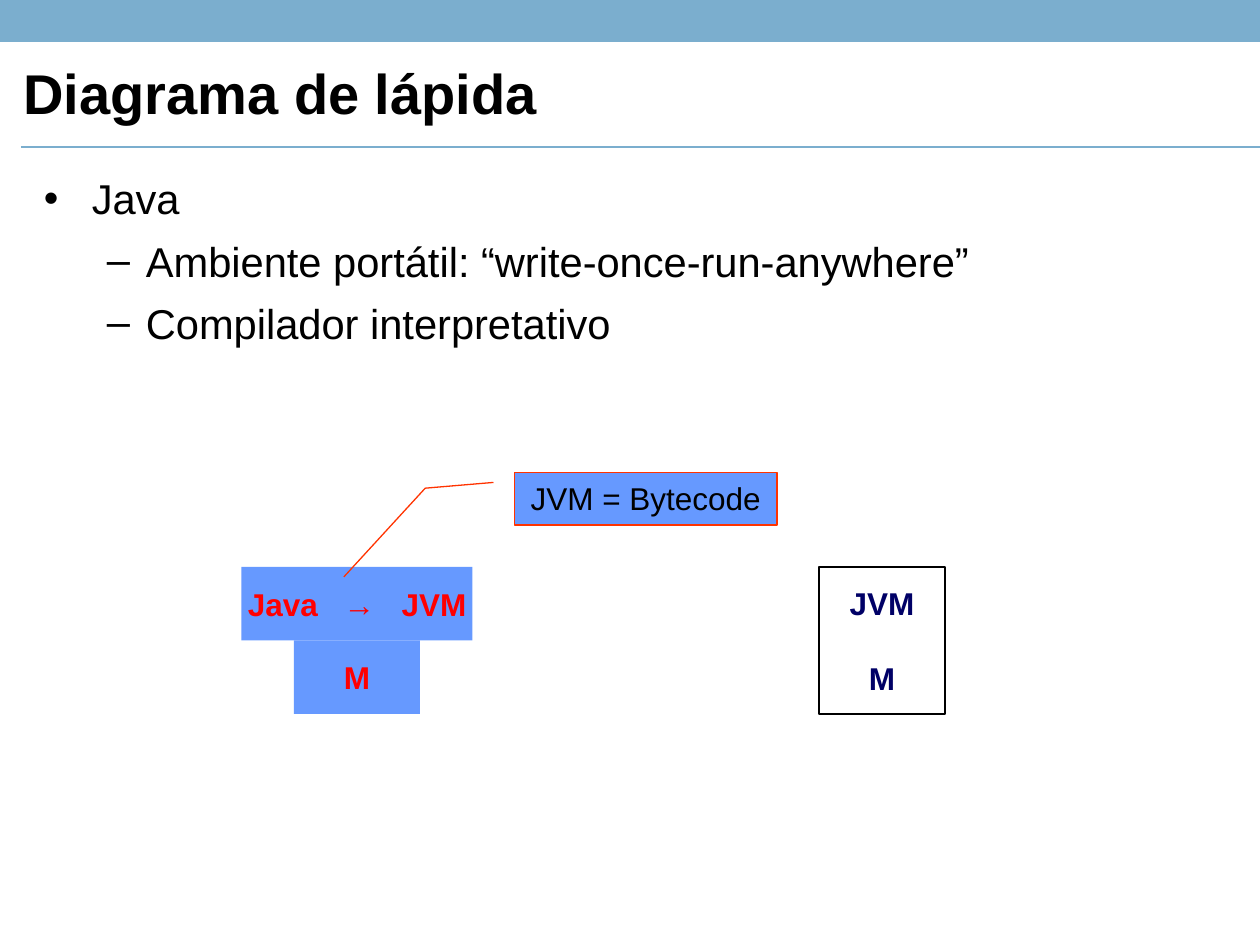
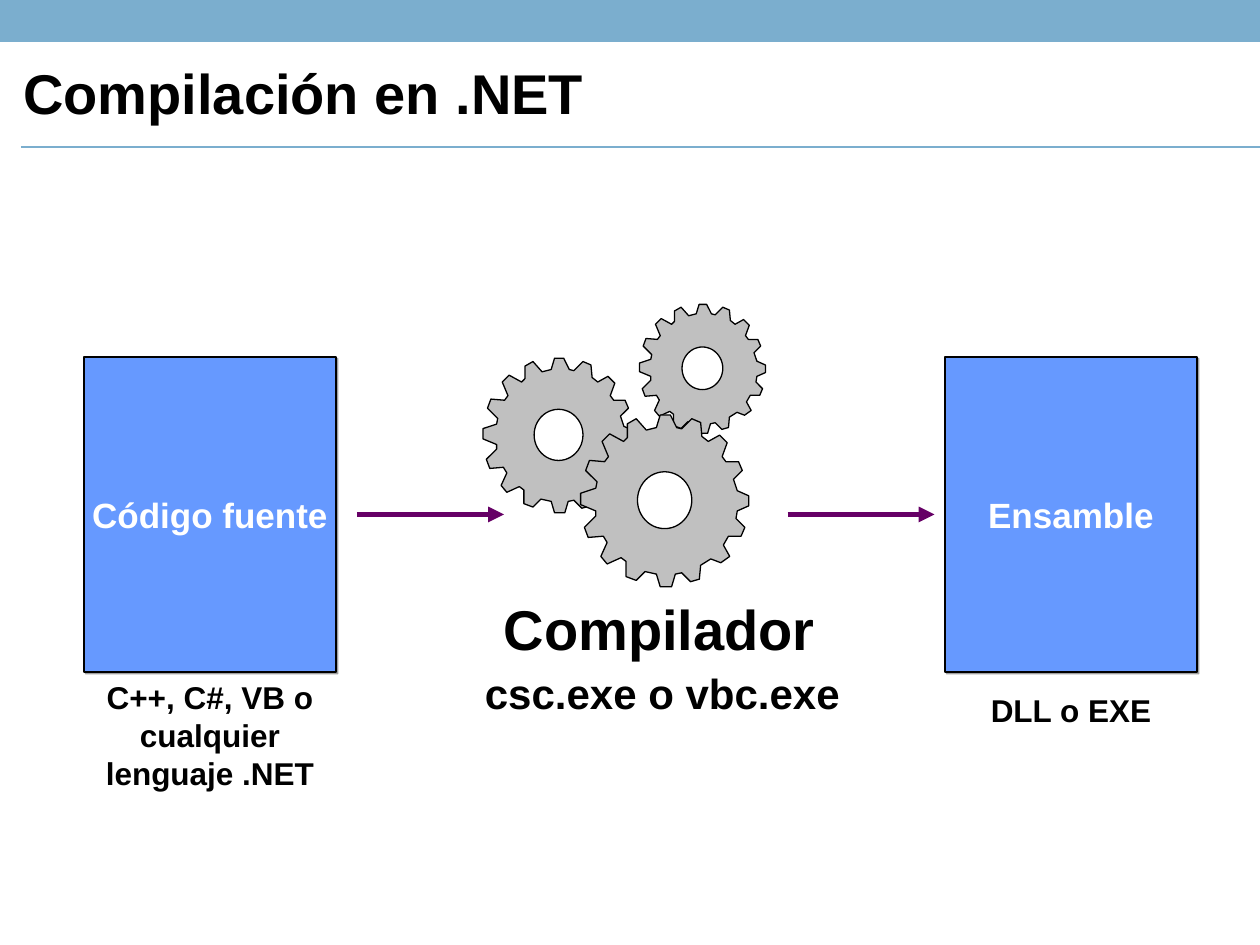
from math import cos, pi, sin
from typing import NamedTuple, Optional

from lxml.etree import SubElement
from pptx import Presentation
from pptx.dml.color import RGBColor
from pptx.enum.shapes import MSO_CONNECTOR as CONN, MSO_SHAPE as SHAPE
from pptx.enum.text import MSO_ANCHOR as ANCHOR, PP_ALIGN as ALIGN
from pptx.oxml.ns import qn
from pptx.util import Emu, Inches, Pt

COLS, ROWS = 120, 90
SLIDE_W, SLIDE_H = Inches(10), Inches(7.5)
FONT = "Arial"

BLACK = RGBColor(0x00, 0x00, 0x00)
WHITE = RGBColor(0xFF, 0xFF, 0xFF)
BAND = RGBColor(0x7B, 0xAE, 0xCE)
BLUE = RGBColor(0x66, 0x99, 0xFF)
RED = RGBColor(0xFF, 0x00, 0x00)
ORANGE = RGBColor(0xFF, 0x33, 0x00)
NAVY = RGBColor(0x00, 0x00, 0x66)
PURPLE = RGBColor(0x66, 0x00, 0x66)
GRAY = RGBColor(0xC0, 0xC0, 0xC0)

GEAR_WIDTH = 133
GEAR_DETAIL = 100
GEAR_HUB = (66.5, 68.5)
GEAR_HOLE = (21.5, 22.5)
HOLE_SIDES = 48
GEAR_TEETH = [
    (60, 11), (63, 1), (71, 1), (76, 11), (80, 12), (88, 4), (95, 7), (96, 18),
    (101, 22), (110, 17), (116, 23), (112, 34), (115, 38), (125, 38), (128, 45), (121, 52),
    (124, 61), (133, 65), (133, 73), (124, 77), (123, 83), (130, 90), (127, 97), (117, 97),
    (113, 104), (118, 113), (111, 118), (103, 115), (95, 120), (94, 131), (87, 133), (80, 126),
    (75, 127), (72, 137), (63, 137), (60, 127), (51, 125), (44, 132), (36, 129), (36, 117),
    (32, 114), (21, 119), (16, 113), (21, 102), (18, 97), (6, 98), (3, 90), (12, 81),
    (12, 77), (0, 72), (0, 63), (12, 59), (13, 54), (4, 45), (7, 37), (19, 38),
    (22, 34), (17, 22), (23, 16), (34, 22), (37, 19), (37, 8), (44, 4), (52, 13),
]


class Area(NamedTuple):
    col: float
    row: float
    cols: float
    rows: float


class Bullet(NamedTuple):
    text: str
    char: str
    margin: float
    hanging: float
    level: int


class Gear(NamedTuple):
    col: float
    row: float
    cols: float


class Caption(NamedTuple):
    text: str
    area: Area
    size: float
    align: ALIGN


class Block(NamedTuple):
    text: str
    area: Area


BULLETS = [
    Bullet("Java", "•", 0.38, 0.38, 0),
    Bullet("Ambiente portátil: “write-once-run-anywhere”", "–", 0.81, 0.31, 1),
    Bullet("Compilador interpretativo", "–", 0.81, 0.31, 1),
]
GEARS = [Gear(60.9, 28.9, 12), Gear(46, 34, 14.4), Gear(55.3, 39.4, 16)]
BLOCKS = [
    Block("Código fuente", Area(8, 34, 24, 30)),
    Block("Ensamble", Area(90, 34, 24, 30)),
]
CAPTIONS = [
    Caption("C++, C#, VB o cualquier lenguaje .NET", Area(5, 64, 30, 12), 18, ALIGN.CENTER),
    Caption("csc.exe o vbc.exe", Area(45, 63, 42, 6), 24, ALIGN.LEFT),
    Caption("Compilador", Area(42.8, 56, 40, 7.7), 32, ALIGN.CENTER),
    Caption("DLL o EXE", Area(89, 65.2, 26, 4.8), 18, ALIGN.CENTER),
]
ARROW_STARTS = [34, 75]
ARROW_ROW, ARROW_COLS = 49, 14


def x(cols: float) -> Emu:
    return Emu(round(SLIDE_W * cols / COLS))


def y(rows: float) -> Emu:
    return Emu(round(SLIDE_H * rows / ROWS))


def place(a: Area) -> tuple:
    return x(a.col), y(a.row), x(a.cols), y(a.rows)


def write(tf, text: str, *, size: float, color: RGBColor = BLACK, bold: bool = True,
          align: ALIGN = ALIGN.CENTER, anchor: ANCHOR = ANCHOR.MIDDLE, wrap: bool = False,
          line_gap: float = 0, line_spacing: Optional[float] = None) -> None:
    tf.word_wrap = wrap
    tf.vertical_anchor = anchor
    for i, line in enumerate(text.split("\n")):
        p = tf.add_paragraph() if i else tf.paragraphs[0]
        p.alignment = align
        if line_spacing:
            p.line_spacing = line_spacing
        if i:
            p.space_before = Pt(line_gap)
        r = p.add_run()
        r.text = line
        r.font.name, r.font.size, r.font.bold = FONT, Pt(size), bold
        r.font.color.rgb = color


def paint(sp, fill: Optional[RGBColor], line: Optional[RGBColor], width: float) -> None:
    sp.shadow.inherit = False
    if fill is None:
        sp.fill.background()
    else:
        sp.fill.solid()
        sp.fill.fore_color.rgb = fill
    if line is None:
        sp.line.fill.background()
    else:
        sp.line.color.rgb = line
        sp.line.width = Pt(width)


def add_box(s, area: Area, fill: Optional[RGBColor] = None, line: Optional[RGBColor] = None,
            width: float = 0.75, kind: SHAPE = SHAPE.RECTANGLE):
    sp = s.shapes.add_shape(kind, *place(area))
    paint(sp, fill, line, width)
    return sp


def add_text(s, area: Area, text: str, **style) -> None:
    write(s.shapes.add_textbox(*place(area)).text_frame, text, wrap=True, **style)


def add_line(s, col: float, end: float, row: float, color: RGBColor, width: float,
             arrow: bool = False) -> None:
    c = s.shapes.add_connector(CONN.STRAIGHT, x(col), y(row), x(end), y(row))
    c.line.color.rgb = color
    c.line.width = Pt(width)
    if arrow:
        SubElement(c._element.spPr.find(qn("a:ln")), qn("a:tailEnd"), type="triangle")
    SubElement(c._element.spPr, qn("a:effectLst"))


def add_drop_shadow(sp) -> None:
    effects = sp._element.spPr.find(qn("a:effectLst"))
    shadow = SubElement(effects, qn("a:outerShdw"), dist=str(Pt(1.4)), dir="2700000",
                        algn="ctr", rotWithShape="0")
    color = SubElement(shadow, qn("a:srgbClr"), val="808080")
    SubElement(color, qn("a:alpha"), val="75000")


def set_tabs(p, stops: list) -> None:
    tabs = SubElement(p._p.get_or_add_pPr(), qn("a:tabLst"))
    for stop in stops:
        SubElement(tabs, qn("a:tab"), pos=str(Inches(stop)), algn="l")


def add_bullets(s, area: Area, bullets: list) -> None:
    tf = s.shapes.add_textbox(*place(area)).text_frame
    write(tf, "\n".join(b.text for b in bullets), size=23.8, bold=False, align=ALIGN.LEFT,
          anchor=ANCHOR.TOP, wrap=True, line_gap=7)
    for p, b in zip(tf.paragraphs, bullets):
        p.level = b.level
        pPr = p._p.get_or_add_pPr()
        pPr.set("marL", str(Inches(b.margin)))
        pPr.set("indent", str(-Inches(b.hanging)))
        SubElement(pPr, qn("a:buFont"), typeface=FONT)
        SubElement(pPr, qn("a:buChar"), char=b.char)


def add_gear(s, gear: Gear) -> None:
    angles = [2 * pi * i / HOLE_SIDES for i in range(HOLE_SIDES)]
    hole = [(GEAR_HUB[0] + GEAR_HOLE[0] * cos(a), GEAR_HUB[1] - GEAR_HOLE[1] * sin(a))
            for a in angles]
    teeth, hole = ([(px * GEAR_DETAIL, py * GEAR_DETAIL) for px, py in outline]
                   for outline in (GEAR_TEETH, hole))
    fb = s.shapes.build_freeform(*teeth[0], scale=x(gear.cols) / (GEAR_WIDTH * GEAR_DETAIL))
    fb.add_line_segments(teeth[1:], close=True)
    fb.move_to(*hole[0])
    fb.add_line_segments(hole[1:], close=True)
    paint(fb.convert_to_shape(x(gear.col), y(gear.row)), GRAY, BLACK, 0.75)


def add_slide(prs, title: str):
    s = prs.slides.add_slide(prs.slide_layouts[6])
    add_box(s, Area(0, 0, COLS, 4), BAND)
    add_line(s, 2, COLS, 14, BAND, 1)
    add_text(s, Area(1.05, 4.2, 118.95, 10), title, size=32, align=ALIGN.LEFT, line_spacing=0.9)
    return s


def build_tombstone(prs) -> None:
    s = add_slide(prs, "Diagrama de lápida")
    add_bullets(s, Area(3, 15.9, 94, 22.6), BULLETS)

    stem = add_box(s, Area(28, 61, 12, 7), BLUE)
    write(stem.text_frame, "M", size=18, color=RED)

    bar = add_box(s, Area(23, 54, 22, 7), BLUE)
    tf = bar.text_frame
    tf.margin_left, tf.margin_right = Inches(0.05), 0
    set_tabs(tf.paragraphs[0], [0.76, 1.22])
    write(tf, "Java\t→\tJVM", size=18, color=RED, align=ALIGN.LEFT, wrap=True)

    machine = add_box(s, Area(78, 54, 12, 14), line=BLACK)
    write(machine.text_frame, "JVM\nM", size=18, color=NAVY, line_gap=21)

    callout = add_box(s, Area(49, 45, 25, 5), BLUE, ORANGE, kind=SHAPE.LINE_CALLOUT_2)
    for i, value in enumerate([0.19, -0.08, 0.3, -0.34, 1.99, -0.65]):
        callout.adjustments[i] = value
    write(callout.text_frame, "JVM = Bytecode", size=18, bold=False, anchor=ANCHOR.TOP, wrap=True)


def build_compilation(prs) -> None:
    s = add_slide(prs, "Compilación en .NET")
    for block in BLOCKS:
        sp = add_box(s, block.area, BLUE, BLACK, 1)
        add_drop_shadow(sp)
        write(sp.text_frame, block.text, size=20, color=WHITE)
    for gear in GEARS:
        add_gear(s, gear)
    for c in CAPTIONS:
        add_text(s, c.area, c.text, size=c.size, align=c.align, anchor=ANCHOR.TOP)
    for start in ARROW_STARTS:
        add_line(s, start, start + ARROW_COLS, ARROW_ROW, PURPLE, 3, arrow=True)


def main() -> None:
    prs = Presentation()
    prs.slide_width, prs.slide_height = SLIDE_W, SLIDE_H
    build_tombstone(prs)
    build_compilation(prs)
    prs.save("out.pptx")


if __name__ == "__main__":
    main()
